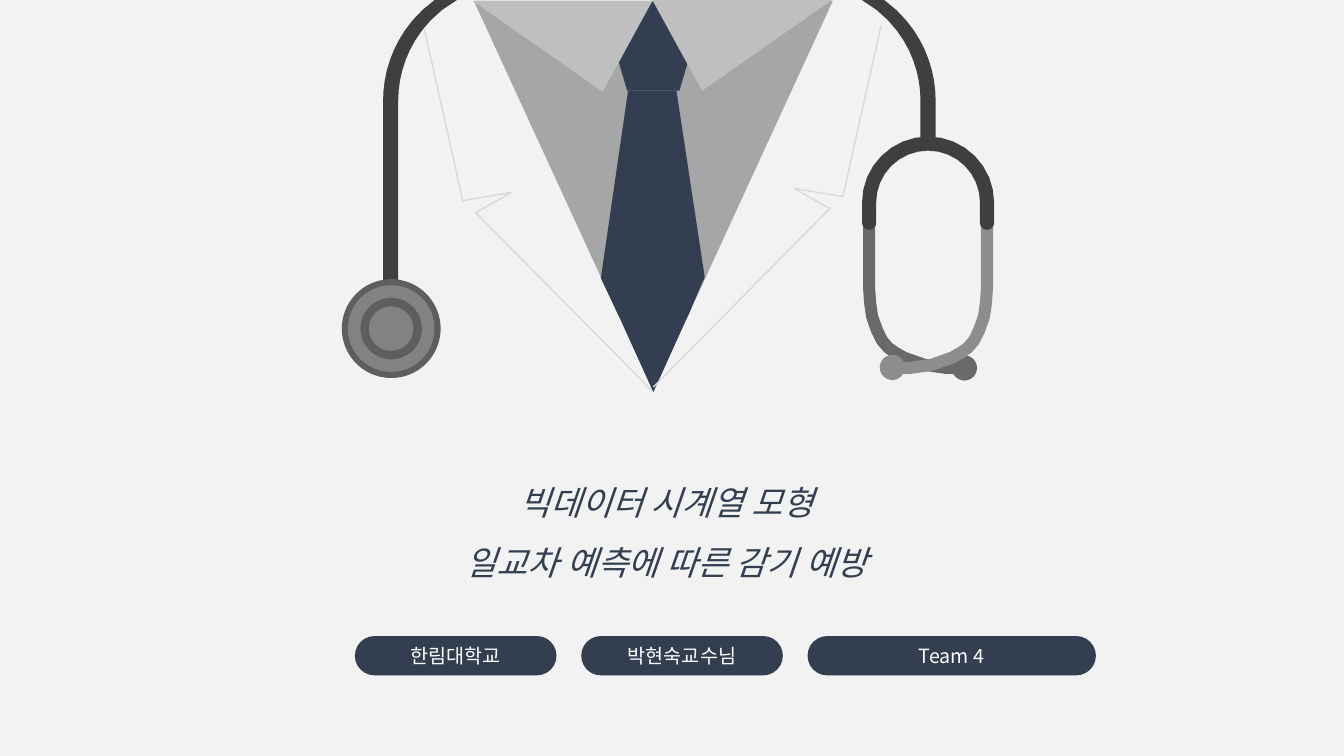
"""Build the doctor's coat title slide."""
import math
from lxml import etree
from pptx import Presentation
from pptx.dml.color import RGBColor
from pptx.enum.shapes import MSO_SHAPE
from pptx.enum.text import MSO_ANCHOR, MSO_AUTO_SIZE, PP_ALIGN
from pptx.oxml.ns import qn
from pptx.util import Inches, Pt

FONT = "Noto Sans CJK KR"
TITLE = "빅데이터 시계열 모형\n일교차 예측에 따른 감기 예방"
PILLS = [("한림대학교", 2), ("박현숙교수님", 2), ("Team 4", 2.86)]
PILL_LEFT, PILL_TOP, PILL_HEIGHT, PILL_GAP = 3.52, 6.31, 0.39, 0.245

NAVY, WHITE, PAPER, SEAM = "333F50", "FFFFFF", "F2F2F2", "D9D9D9"
SHIRT, COLLAR, RUBBER = "A6A6A6", "BFBFBF", "3F3F3F"
RIM, DISC, STEEL_DARK, STEEL_LIGHT = "5E5E5E", "828282", "69696B", "8D8D8E"

TIE = [(6.23, 0.9), (6.71, 0.9), (6.99, 2.75), (6.82, 3.14), (6.14, 3.14), (5.96, 2.76)]
LAPEL = [(4.21, 0.29), (4.59, 1.99), (5.07, 1.91), (4.72, 2.11), (6.47, 3.88)]
EAR_TUBE = [(8.62, 2.21), (8.62, 2.85), (8.63, 3), (8.65, 3.14), (8.7, 3.28), (8.75, 3.38),
            (8.81, 3.45), (8.88, 3.5), (8.97, 3.55), (9.17, 3.62), (9.38, 3.65), (9.56, 3.65)]
COAT_AXIS, HOSE_AXIS, YOKE_AXIS = 6.475, 6.54, 9.205
HOSE_OUTER, HOSE_INNER = (3.8, 1.235), (3.95, 1.15)
CHEST_PIECE = [(0.49, RIM), (0.43, DISC), (0.305, RIM), (0.22, DISC)]

prs = Presentation()
prs.slide_width, prs.slide_height = Inches(13.33), Inches(7.5)
slide = prs.slides.add_slide(prs.slide_layouts[6])
coat = slide.shapes.add_group_shape().shapes


def color(value):
    return RGBColor.from_string(value)


def paint(shape, fill=None, line=None):
    shape.shadow.inherit = False
    if fill:
        shape.fill.solid()
        shape.fill.fore_color.rgb = color(fill)
    else:
        shape.fill.background()
    if line:
        shape.line.color.rgb = color(line)
        shape.line.width = Pt(1)
    else:
        shape.line.fill.background()
    return shape


def preset(parent, kind, box, fill, rotation=0, adjust=None):
    shape = paint(parent.add_shape(kind, *map(Inches, box)), fill)
    shape.rotation = rotation
    if adjust is not None:
        shape.adjustments[0] = adjust
    return shape


def outline(points, fill=None, line=None):
    start, *rest = [(Inches(x), Inches(y)) for x, y in points]
    builder = coat.build_freeform(*start)
    builder.add_line_segments(rest, close=fill is not None)
    paint(builder.convert_to_shape(), fill, line)


def disc(x, y, radius, fill):
    preset(coat, MSO_SHAPE.OVAL, (x - radius, y - radius, 2 * radius, 2 * radius), fill)


def mirror(points, axis, rise=0):
    return [(2 * axis - x, y - rise) for x, y in points]


def arc(x, y, radius, start, end, steps=16):
    angles = [math.radians(start + (end - start) * i / steps) for i in range(steps + 1)]
    return [(x + radius * math.cos(a), y + radius * math.sin(a)) for a in angles]


def tube(center, width):
    sides = [], []
    for i, (x, y) in enumerate(center):
        (x0, y0), (x1, y1) = center[max(i - 1, 0)], center[min(i + 1, len(center) - 1)]
        reach = width / 2 / math.hypot(x1 - x0, y1 - y0)
        dx, dy = (y0 - y1) * reach, (x1 - x0) * reach
        sides[0].append((x + dx, y + dy))
        sides[1].append((x - dx, y - dy))
    return sides[0] + sides[1][::-1]


def hose(bottom):
    def edge(x, radius):
        bend = [(x + radius - math.sqrt(radius ** 2 - (1 - i / 10) ** 2), i / 10)
                for i in range(11)]
        return bend + [(x, bottom)]
    return edge(*HOSE_OUTER) + edge(*HOSE_INNER)[::-1]


def write(frame, text, size, fill, italic=None):
    frame.word_wrap = True
    paragraph = frame.paragraphs[0]
    paragraph.text = text
    paragraph.alignment = PP_ALIGN.CENTER
    for run in paragraph.runs:
        run.font.size, run.font.italic, run.font.name = Pt(size), italic, FONT
        run.font.color.rgb = color(fill)
        etree.SubElement(run._r.get_or_add_rPr(), qn("a:ea")).set("typeface", FONT)
    return paragraph


slide.background.fill.solid()
slide.background.fill.fore_color.rgb = color(PAPER)

TRIANGLE = MSO_SHAPE.ISOSCELES_TRIANGLE
preset(coat, TRIANGLE, (4.7, 0.01, 3.56, 3.87), SHIRT, 180)
preset(coat, MSO_SHAPE.REGULAR_PENTAGON, (6.06, 0.01, 0.84, 0.89), NAVY)
outline(TIE, NAVY)
preset(coat, TRIANGLE, (4.69, 0.01, 1.78, 0.9), COLLAR, 180, 0.277)
outline(hose(3.51), RUBBER)
outline(mirror(hose(1.47), HOSE_AXIS), RUBBER)
for radius, fill in CHEST_PIECE:
    disc(3.88, 3.26, radius, fill)
outline(tube(EAR_TUBE, 0.12), STEEL_DARK)
disc(9.565, 3.65, 0.125, STEEL_DARK)
outline(tube(mirror(EAR_TUBE, YOKE_AXIS), 0.12), STEEL_LIGHT)
disc(8.85, 3.645, 0.125, STEEL_LIGHT)
outline(arc(YOKE_AXIS, 2.01, 0.655, 180, 360) + arc(9.79, 2.21, 0.07, 0, 180, 8)
        + arc(YOKE_AXIS, 2.01, 0.515, 360, 180) + arc(8.62, 2.21, 0.07, 0, 180, 8), RUBBER)
preset(coat, TRIANGLE, (6.47, 0, 1.78, 0.9), COLLAR, 180, 0.723)
preset(coat, TRIANGLE, (6.1, 3.05, 0.76, 0.84), NAVY, 180)
outline(LAPEL, line=SEAM)
outline(mirror(LAPEL, COAT_AXIS, 0.04), line=SEAM)

title = slide.shapes.add_textbox(*map(Inches, (3.26, 4.53, 6.7, 1.23))).text_frame
write(title, TITLE, 24, NAVY, True).line_spacing = 1.5
title.auto_size = MSO_AUTO_SIZE.SHAPE_TO_FIT_TEXT

left = PILL_LEFT
for label, width in PILLS:
    pill = preset(slide.shapes, MSO_SHAPE.ROUNDED_RECTANGLE,
                  (left, PILL_TOP, width, PILL_HEIGHT), NAVY, adjust=0.5)
    pill.text_frame.vertical_anchor = MSO_ANCHOR.MIDDLE
    write(pill.text_frame, label, 14, WHITE)
    left += width + PILL_GAP

prs.save("out.pptx")
